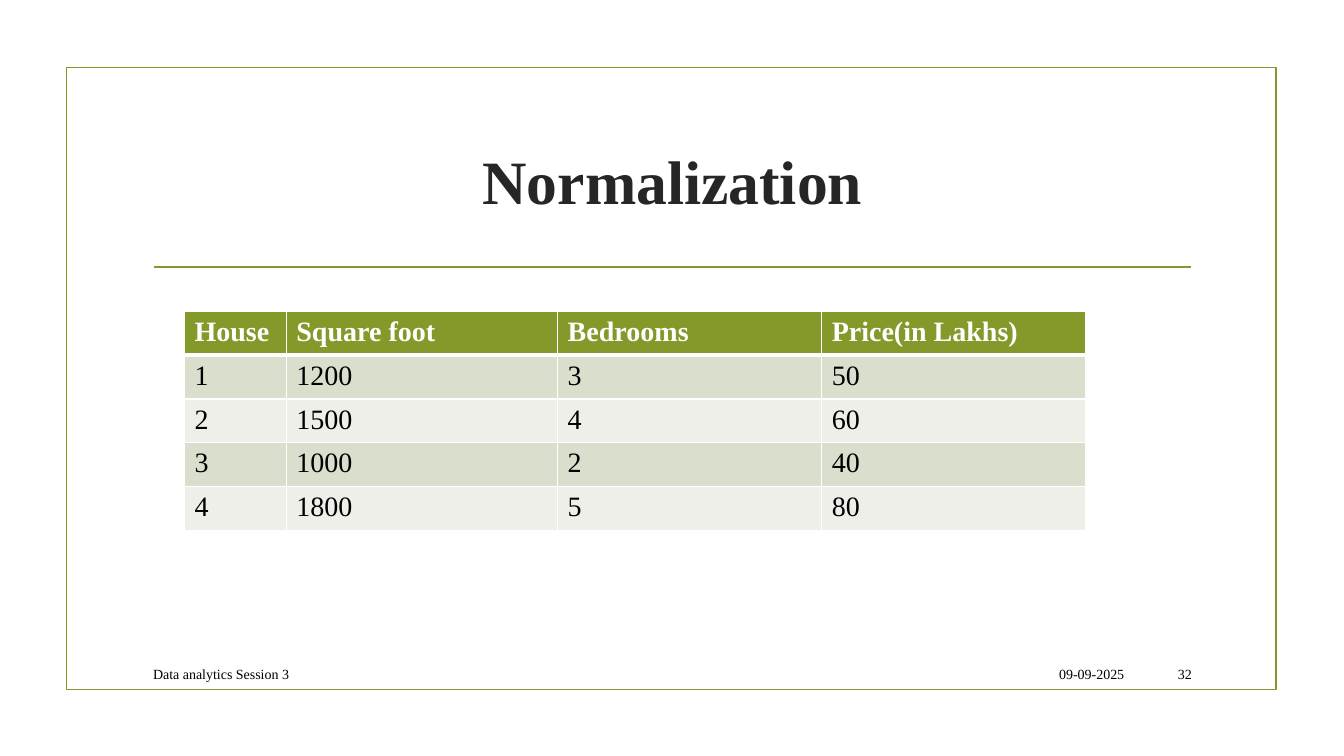
import lxml.etree
import pptx
import pptx.dml.color
import pptx.enum.shapes
import pptx.enum.text
import pptx.oxml.ns
import pptx.util

COLORS = {"green": "83992A", "title": "262626", "ink": "000000", "white": "FFFFFF",
          "dark_band": "D9DECD", "light_band": "EDEFE8"}
FONT = "Times New Roman"
ALIGN = pptx.enum.text.PP_ALIGN
inches = pptx.util.Inches
qn = pptx.oxml.ns.qn

HOUSES = [
    ["House", "Square foot", "Bedrooms", "Price(in Lakhs)"],
    ["1", "1200", "3", "50"],
    ["2", "1500", "4", "60"],
    ["3", "1000", "2", "40"],
    ["4", "1800", "5", "80"],
]
COLUMN_SHARES = [0.113, 0.301, 0.293, 0.293]


def rgb(name):
    return pptx.dml.color.RGBColor.from_string(COLORS[name])


def style_text(frame, text, size, color, align=ALIGN.LEFT, bold=False):
    frame.text = text
    paragraph = frame.paragraphs[0]
    paragraph.alignment = align
    font = paragraph.runs[0].font
    font.name, font.size, font.bold = FONT, pptx.util.Pt(size), bold
    font.color.rgb = rgb(color)


def add_label(slide, box, text, size, color, align=ALIGN.LEFT, bold=False):
    frame = slide.shapes.add_textbox(*map(inches, box)).text_frame
    frame.word_wrap = True
    frame.vertical_anchor = pptx.enum.text.MSO_ANCHOR.MIDDLE
    style_text(frame, text, size, color, align, bold)


def add_frame(slide, box):
    border = slide.shapes.add_shape(
        pptx.enum.shapes.MSO_SHAPE.RECTANGLE, *map(inches, box))
    border.shadow.inherit = False
    border.fill.background()
    border.line.color.rgb = rgb("green")
    border.line.width = pptx.util.Pt(1.25)


def add_heading(slide, box, text):
    """Centred title with a rule below it, inset from the sides of the box."""
    left, top, width, height = box
    rule_y, inset = top + height + 0.15, 0.11
    rule = slide.shapes.add_connector(
        pptx.enum.shapes.MSO_CONNECTOR.STRAIGHT,
        inches(left + inset), inches(rule_y),
        inches(left + width - inset), inches(rule_y))
    rule.line.color.rgb = rgb("green")
    rule.line.width = pptx.util.Pt(1.25)
    lxml.etree.SubElement(rule._element.spPr, qn("a:effectLst"))
    add_label(slide, box, text, 44, "title", ALIGN.CENTER, bold=True)


def add_cell_borders(cell, bottom_width):
    properties = cell._tc.get_or_add_tcPr()
    for position, side in enumerate(["lnL", "lnR", "lnT", "lnB"]):
        width = bottom_width if side == "lnB" else 1
        line = lxml.etree.Element(qn(f"a:{side}"), w=str(pptx.util.Pt(width)))
        fill = lxml.etree.SubElement(line, qn("a:solidFill"))
        lxml.etree.SubElement(fill, qn("a:srgbClr"), val=COLORS["white"])
        properties.insert(position, line)


def add_house_table(slide, box, rows):
    table = slide.shapes.add_table(
        len(rows), len(rows[0]), *map(inches, box)).table
    for column, share in zip(table.columns, COLUMN_SHARES):
        column.width = inches(box[2] * share)
    for row_index, values in enumerate(rows):
        header = row_index == 0
        band = "green" if header else ("light_band", "dark_band")[row_index % 2]
        for column_index, value in enumerate(values):
            cell = table.cell(row_index, column_index)
            cell.fill.solid()
            cell.fill.fore_color.rgb = rgb(band)
            style_text(cell.text_frame, value, 20,
                       "white" if header else "ink", bold=header)
            add_cell_borders(cell, 3 if header else 1)


def add_footer(slide, box, session, date, number):
    left, top, width, height = box
    parts = [
        (session, 0, 0.761, ALIGN.LEFT),
        (date, 0.769, 0.167, ALIGN.RIGHT),
        (number, 0.943, 0.057, ALIGN.RIGHT),
    ]
    for text, start, share, align in parts:
        part_box = (left + width * start, top, width * share, height)
        add_label(slide, part_box, text, 10, "ink", align)


def main():
    presentation = pptx.Presentation()
    presentation.slide_width = inches(13.33)
    presentation.slide_height = inches(7.5)
    slide = presentation.slides.add_slide(presentation.slide_layouts[6])
    add_frame(slide, (0.66, 0.67, 12, 6.17))
    add_heading(slide, (1.42, 1.07, 10.5, 1.43), "Normalization")
    add_house_table(slide, (1.83, 3.09, 8.94, 2.05), HOUSES)
    add_footer(slide, (1.42, 6.53, 10.5, 0.31),
               "Data analytics Session 3", "09-09-2025", "32")
    presentation.save("out.pptx")


if __name__ == "__main__":
    main()
